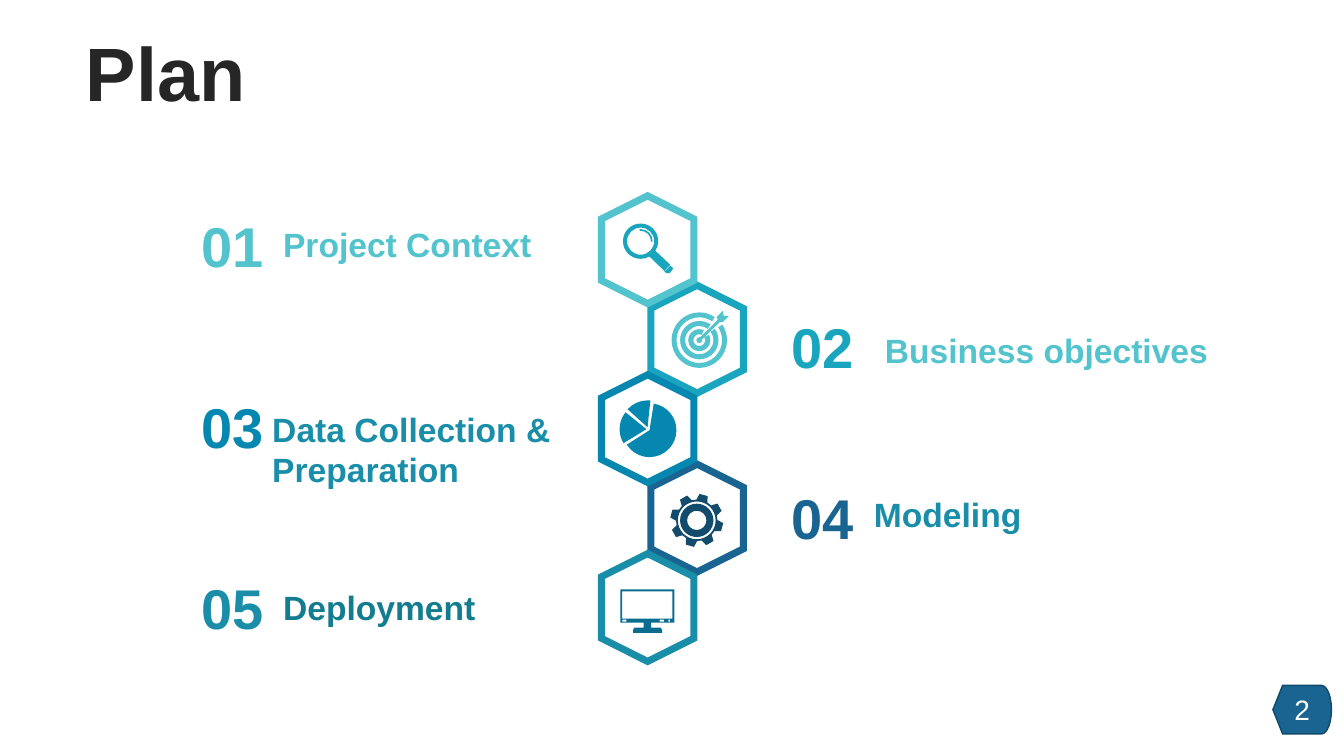
import math

import lxml.etree
import pptx
import pptx.dml.color
import pptx.enum.shapes
import pptx.enum.text
import pptx.oxml.ns
import pptx.util

Pt = pptx.util.Pt
RGBColor = pptx.dml.color.RGBColor
SHAPE = pptx.enum.shapes.MSO_SHAPE
ALIGN = pptx.enum.text.PP_ALIGN
MIDDLE = pptx.enum.text.MSO_ANCHOR.MIDDLE
qn = pptx.oxml.ns.qn

FONT = "Arial"
INK = RGBColor(0x26, 0x26, 0x26)
WHITE = RGBColor(0xFF, 0xFF, 0xFF)
AQUA = RGBColor(0x53, 0xC3, 0xCD)
CYAN = RGBColor(0x19, 0xA5, 0xBE)
BLUE = RGBColor(0x05, 0x87, 0xAF)
NAVY = RGBColor(0x19, 0x64, 0x91)
TEAL = RGBColor(0x1A, 0x8E, 0xA9)
DEEP_TEAL = RGBColor(0x13, 0x7C, 0x8E)
SCREEN_BLUE = RGBColor(0x0A, 0x6D, 0x90)
GEAR_BLUE = RGBColor(0x13, 0x4B, 0x6D)
BADGE_EDGE = RGBColor(0x12, 0x4A, 0x6B)

LEFT_X, RIGHT_X = 462.6, 497.9
FIRST_Y, STEP_Y = 178.4, 63.9
HEX_LENGTH, HEX_WIDTH = 77, 66.2


def polar(x, y, radius, degrees):
    angle = math.radians(degrees)
    return x + radius * math.cos(angle), y + radius * math.sin(angle)


def arc(x, y, radius, start=0, end=360):
    """Nodes of an arc, clockwise from the right; a curved node is (control, control, point)."""
    low, high = sorted((start, end))
    quarters = [q for q in range(-360, 721, 90) if low < q < high]
    stops = [low] + quarters + [high]
    if end < start:
        stops.reverse()
    nodes = [(polar(x, y, radius, start),)]
    for a, b in zip(stops, stops[1:]):
        pull = 4 / 3 * math.tan(math.radians(b - a) / 4)
        reach = radius * math.hypot(1, pull)
        swing = math.degrees(math.atan(pull))
        nodes.append((polar(x, y, reach, a + swing), polar(x, y, reach, b - swing),
                      polar(x, y, radius, b)))
    return nodes


def corners(*points):
    return [(point,) for point in points]


def band(x, y, outer, inner, start, end):
    return arc(x, y, outer, start, end) + arc(x, y, inner, end, start)


def rectangle(left, top, right, bottom):
    return corners((left, top), (right, top), (right, bottom), (left, bottom))


# Icons are lists of outlines around the centre of their hexagon.

def magnifier():
    x, y = -5, -6.1
    body = arc(x, y, 12.6, 60, 393) + corners((16.2, 10.8), (11.9, 15.1))
    cap = corners((16.2, 11.5), (17.9, 12.6), (18, 14), (15.5, 16.9), (13.3, 16.6), (12, 15.6))
    return [body, arc(x, y, 9.7), band(x, y, 8.6, 7.4, -95, 2), cap]


def target():
    x, y = 1.6, 0.7
    arrow = arc(x, y, 2.1, -15, 285) + corners(
        (14.8, -13.7), (14, -15.8), (18.4, -20.2), (19.1, -16.6),
        (22.7, -16.6), (18.4, -12.2), (16.2, -12.2))
    return [band(x, y, 19.8, 16.3, -34, 304), band(x, y, 13.7, 10.1, -36, 306),
            band(x, y, 7.9, 4.2, -29, 294), arrow]


def pie():
    slices = [(1.4, 1.1, -81, 147.5), (-0.8, 0.4, 148.7, 219), (0, -1, 222, 276)]
    return [corners((x, y)) + arc(x, y, 19.2, start, end) for x, y, start, end in slices]


def gear():
    x, y = -0.2, 1.6
    teeth = [polar(x, y, radius, middle + turn)
             for middle in range(-75, 285, 45)
             for radius, turn in ((14.8, -16), (19, -9), (19, 9), (14.8, 16))]
    return [corners(*teeth)] + [arc(x, y, radius) for radius in (13.5, 11.9, 6.9)]


def monitor():
    frame = corners((-19.4, -13), (19.1, -13), (19.1, 10.8), (2.5, 10.8), (2.5, 14.4),
                    (9.4, 14.4), (10.4, 16), (10.4, 18), (-10.4, 18), (-10.4, 16),
                    (-9.4, 14.4), (-2.9, 14.4), (-2.9, 10.8), (-19.4, 10.8))
    lights = [rectangle(left, 8.6, right, 10.1)
              for left, right in ((-18, -15.1), (8.6, 11.9), (14.8, 16.2))]
    return [frame, rectangle(-18.1, -11.5, 17.8, 7.9)] + lights


def bend(icon, nodes):
    """Turn the straight segments of curved nodes into Bezier segments."""
    segments = [e for e in icon.element.iter(qn("a:moveTo"), qn("a:lnTo"))]
    for segment, node in zip(segments, nodes):
        if len(node) == 3:
            curve = lxml.etree.Element(qn("a:cubicBezTo"))
            for x, y in node:
                lxml.etree.SubElement(curve, qn("a:pt"), x=str(x - icon.left),
                                      y=str(y - icon.top))
            segment.getparent().replace(segment, curve)


def add_icon(page, x, y, outlines, color):
    placed = [[tuple((Pt(x + dx), Pt(y + dy)) for dx, dy in node) for node in outline]
              for outline in outlines]
    builder = page.shapes.build_freeform(*placed[0][0][-1])
    for i, outline in enumerate(placed):
        if i:
            builder.move_to(*outline[0][-1])
        builder.add_line_segments([node[-1] for node in outline[1:]])
    icon = builder.convert_to_shape()
    bend(icon, sum(placed, []))
    icon.shadow.inherit = False
    icon.fill.solid()
    icon.fill.fore_color.rgb = color
    icon.line.fill.background()


def add_preset(page, kind, place, fill, edge, weight):
    shape = page.shapes.add_shape(kind, *map(Pt, place))
    shape.shadow.inherit = False
    shape.fill.solid()
    shape.fill.fore_color.rgb = fill
    shape.line.color.rgb = edge
    shape.line.width = Pt(weight)
    lxml.etree.SubElement(shape.element.spPr.find(qn("a:ln")), qn("a:miter"), lim="800000")
    return shape


def add_hexagon(page, x, y, color):
    place = (x - HEX_LENGTH / 2, y - HEX_WIDTH / 2, HEX_LENGTH, HEX_WIDTH)
    add_preset(page, SHAPE.HEXAGON, place, WHITE, color, 5).rotation = 90


def write(box, text, size, color, bold=True, align=ALIGN.CENTER):
    box.text_frame.text = text
    para = box.text_frame.paragraphs[0]
    para.alignment = align
    para.font.name = FONT
    para.font.size = Pt(size)
    para.font.bold = bold
    para.font.color.rgb = color
    return para


def add_text(page, place, text, size, color, align):
    box = page.shapes.add_textbox(*map(Pt, place))
    box.text_frame.word_wrap = True
    write(box, text, size, color, align=align)


def add_title(page, text):
    title = page.shapes.title
    title.left, title.top, title.width, title.height = map(Pt, (25.2, 26.6, 186.5, 56.9))
    title.text_frame.vertical_anchor = MIDDLE
    title.text_frame.auto_size = pptx.enum.text.MSO_AUTO_SIZE.NONE
    write(title, text, 54, INK).line_spacing = 0.9


def add_page_number(page, number):
    badge = add_preset(page, SHAPE.FLOWCHART_DISPLAY, (909.2, 489.6, 41.8, 34.6),
                       NAVY, BADGE_EDGE, 1)
    badge.text_frame.vertical_anchor = MIDDLE
    write(badge, number, 20, WHITE, bold=False)


def main():
    deck = pptx.Presentation()
    deck.slide_width, deck.slide_height = Pt(960), Pt(540)
    page = deck.slides.add_slide(deck.slide_layouts[5])
    add_title(page, "Plan")

    # Text, number top, label left, top, width and height, colours, icon and its colour
    steps = [
        ("Project Context", 147.6, (195.1, 156.2, 284, 36), AQUA, AQUA, magnifier, CYAN),
        ("Business objectives", 220, (625, 231.8, 284, 36), CYAN, AQUA, target, AQUA),
        ("Data Collection & Preparation", 276.5, (187.4, 288.2, 307.4, 65.5),
         BLUE, TEAL, pie, BLUE),
        ("Modeling", 342, (617.2, 349.2, 311, 36), NAVY, TEAL, gear, GEAR_BLUE),
        ("Deployment", 406.1, (195.1, 415.4, 284, 36), TEAL, DEEP_TEAL, monitor, SCREEN_BLUE),
    ]
    centers = [(RIGHT_X if i % 2 else LEFT_X, FIRST_Y + STEP_Y * i)
               for i in range(len(steps))]

    for i in (3, 1, 2, 0, 4):  # the left column overlaps the right one
        add_hexagon(page, *centers[i], steps[i][3])

    for i, (text, top, place, color, label_color, icon, icon_color) in enumerate(steps):
        left = 557.8 if i % 2 else 136.1
        add_text(page, (left, top, 59.8, 55.4), f"{i + 1:02}", 40, color, ALIGN.CENTER)
        add_text(page, place, text, 24, label_color, ALIGN.LEFT)
        add_icon(page, *centers[i], icon(), icon_color)

    add_page_number(page, "2")
    deck.save("out.pptx")


if __name__ == "__main__":
    main()
